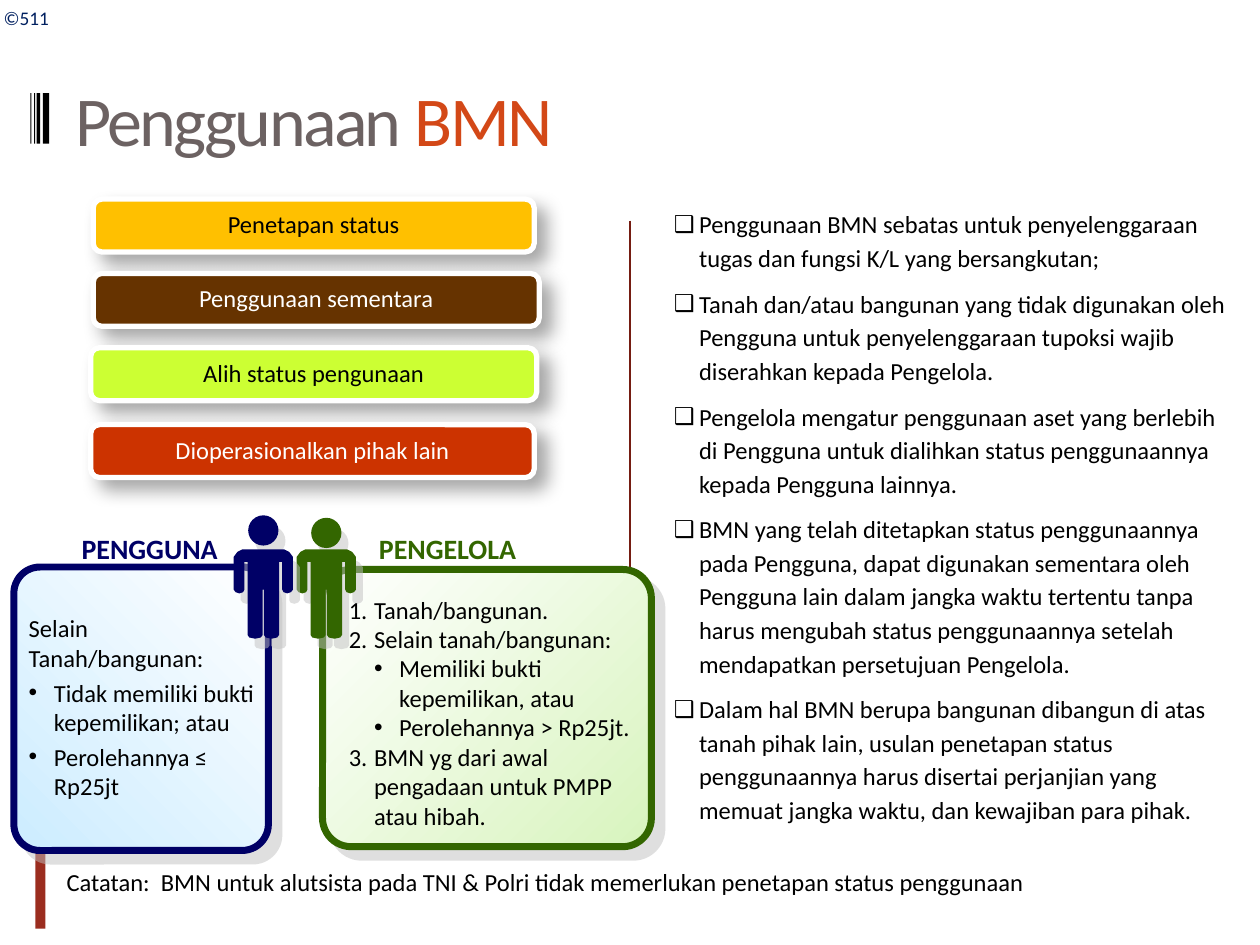
from lxml.etree import SubElement
from pptx import Presentation
from pptx.dml.color import RGBColor
from pptx.enum.shapes import MSO_CONNECTOR, MSO_SHAPE as SHAPE
from pptx.enum.text import MSO_ANCHOR as ANCHOR, PP_ALIGN as ALIGN
from pptx.oxml.ns import qn
from pptx.util import Inches, Pt

COLORS = {
    "black": "000000", "white": "FFFFFF", "title": "6C6262", "accent": "D34817",
    "number": "002060", "rust": "9B2D1F", "divider": "751D12", "shadow": "C0C0C0",
    "amber": "FFC000", "brown": "663300", "lime": "CCFF33", "red": "CC3300",
    "navy": "000066", "sky": "CCECFF", "green": "336600", "mint": "D8F4BE",
}
COLORS = {name: RGBColor.from_string(value) for name, value in COLORS.items()}


def style(shape, color, line=None, width=0, shadow=None):
    """Fill, outline and optional shadow (color, alpha %, blur pt, distance pt, degrees)."""
    shape.shadow.inherit = False
    if color:
        shape.fill.solid()
        shape.fill.fore_color.rgb = COLORS[color]
    if line:
        shape.line.color.rgb = COLORS[line]
        shape.line.width = Pt(width)
    else:
        shape.line.fill.background()
    if shadow:
        name, alpha, blur, distance, angle = shadow
        effects = shape._element.spPr.find(qn("a:effectLst"))
        outer = SubElement(effects, qn("a:outerShdw"), blurRad=str(Pt(blur)),
                           dist=str(Pt(distance)), dir=str(angle * 60000),
                           algn="tl", rotWithShape="0")
        tint = SubElement(outer, qn("a:srgbClr"), val=str(COLORS[name]))
        SubElement(tint, qn("a:alpha"), val=str(alpha * 1000))


def write(place, paragraphs, size=14, color="black", bold=False, wrap=True,
          after=0, before=0, spacing=None):
    """Text box; each paragraph is (text, left indent, hanging indent, bullet)."""
    box = page.shapes.add_textbox(*map(Inches, place))
    frame = box.text_frame
    frame.word_wrap = wrap
    frame.text = "\n".join(item[0] for item in paragraphs)
    for para, (_, left, hanging, bullet) in zip(frame.paragraphs, paragraphs):
        para.space_after, para.space_before = Pt(after), Pt(before)
        if spacing:
            para.line_spacing = spacing
        font = para.runs[0].font
        font.name, font.size, font.bold = "Calibri", Pt(size), bold
        font.color.rgb = COLORS[color]
        props = para._p.get_or_add_pPr()
        props.set("marL", str(Inches(left)))
        props.set("indent", str(-Inches(hanging)))
        if isinstance(bullet, int):
            SubElement(props, qn("a:buFont"), typeface="+mj-lt")
            SubElement(props, qn("a:buAutoNum"), type="arabicPeriod", startAt=str(bullet))
        elif bullet:
            if bullet == "❑":
                SubElement(props, qn("a:buSzPct"), val="95000")
            SubElement(props, qn("a:buFont"), typeface="Arial")
            SubElement(props, qn("a:buChar"), char=bullet)
    return box


deck = Presentation()
deck.slide_width, deck.slide_height = Inches(10), Inches(7.5)
page = deck.slides.add_slide(deck.slide_layouts[6])

# Margin bar and the stripes beside the title
for left, top, width, height, color in [
    (0.28, 5.52, 0.08, 1.85, "rust"), (0.34, 0.74, 0.05, 0.4, "black"),
    (0.29, 0.74, 0.03, 0.4, "black"), (0.27, 0.74, 0.01, 0.4, "black"),
    (0.24, 0.74, 0.01, 0.4, "black"),
]:
    stripe = page.shapes.add_shape(SHAPE.RECTANGLE, *map(Inches, (left, top, width, height)))
    style(stripe, color)

# Slide number and divider
write((-0.07, 0, 0.61, 0.29), [("©511", 0, 0, None)], size=11, color="number")
divider = page.shapes.add_connector(MSO_CONNECTOR.STRAIGHT, Inches(5), Inches(1.75),
                                    Inches(5), Inches(6.71))
divider.line.color.rgb = COLORS["divider"]
divider.line.width = Pt(0.75)
SubElement(divider._element.spPr, qn("a:effectLst"))

# Title
title = write((0.5, 0.23, 9, 1.42), [("Penggunaan ", 0, 0, None)], size=40, color="title")
title.text_frame.vertical_anchor = ANCHOR.MIDDLE
title_para = title.text_frame.paragraphs[0]
span = title_para.add_run()
span.text = "BMN"
span.font.name, span.font.size = "Calibri", Pt(40)
span.font.color.rgb = COLORS["accent"]
for span in title_para.runs:
    span._r.get_or_add_rPr().set("spc", "-150")

# Rules of use
rules = [
    "Penggunaan BMN sebatas untuk penyelenggaraan tugas dan fungsi K/L yang bersangkutan;",
    "Tanah dan/atau bangunan yang tidak digunakan oleh Pengguna untuk penyelenggaraan "
    "tupoksi wajib diserahkan kepada Pengelola.",
    "Pengelola mengatur penggunaan aset yang berlebih di Pengguna untuk dialihkan status "
    "penggunaannya kepada Pengguna lainnya.",
    "BMN yang telah ditetapkan status penggunaannya pada Pengguna, dapat digunakan sementara "
    "oleh Pengguna lain dalam jangka waktu tertentu tanpa harus mengubah status "
    "penggunaannya setelah mendapatkan persetujuan Pengelola.",
    "Dalam hal BMN berupa bangunan dibangun di atas tanah pihak lain, usulan penetapan "
    "status penggunaannya harus disertai perjanjian yang memuat jangka waktu, dan "
    "kewajiban para pihak.",
]
write((5.25, 1.58, 4.58, 5.12), [(rule, 0.2, 0.2, "❑") for rule in rules],
      before=7, spacing=1.14)

# Kinds of use
for text, left, top, width, color, ink in [
    ("Penetapan status", 0.74, 1.58, 3.5, "amber", "black"),
    ("Penggunaan sementara", 0.74, 2.17, 3.54, "brown", "white"),
    ("Alih status pengunaan", 0.72, 2.76, 3.54, "lime", "black"),
    ("Dioperasionalkan pihak lain", 0.72, 3.37, 3.52, "red", "white"),
]:
    kind = page.shapes.add_shape(SHAPE.ROUNDED_RECTANGLE,
                                 *map(Inches, (left, top, width, 0.42)))
    style(kind, color, "white", 3, ("black", 35, 10.2, 8, 45))
    frame = kind.text_frame
    frame.margin_top = frame.margin_bottom = 0
    frame.vertical_anchor = ANCHOR.MIDDLE
    frame.text = text
    para = frame.paragraphs[0]
    para.alignment, para.line_spacing = ALIGN.CENTER, 0.9
    font = para.runs[0].font
    font.name, font.size, font.color.rgb = "Calibri", Pt(14), COLORS[ink]

# Panels, each with a person: the right half of the body is mirrored
half_body = [
    (0.165, 0), (0.205, 0.02), (0.235, 0.06), (0.235, 0.32), (0.22, 0.34), (0.19, 0.35),
    (0.16, 0.34), (0.15, 0.32), (0.15, 0.1), (0.125, 0.1), (0.125, 0.68), (0.11, 0.7),
    (0.065, 0.71), (0.02, 0.7), (0.005, 0.68), (0.005, 0.32),
]
outline = half_body + [(-x, y) for x, y in reversed(half_body)]
for place, color, stops, angle, center, head_top in [
    ((2.56, 4.52, 2.61, 2.2), "green", ("white", "mint"), 315, 2.59, 4.11),
    ((0.11, 4.5, 2.02, 2.25), "navy", ("sky", "white"), 45, 2.09, 4.09),
]:
    panel = page.shapes.add_shape(SHAPE.ROUNDED_RECTANGLE, *map(Inches, place))
    panel.adjustments[0] = 0.103
    panel.fill.gradient()
    panel.fill.gradient_angle = angle
    for stop, name in zip(panel.fill.gradient_stops, stops):
        stop.color.rgb = COLORS[name]
    style(panel, None, color, 4, ("shadow", 50, 0, 8.5, 45))

    head = page.shapes.add_shape(SHAPE.OVAL, Inches(center - 0.12), Inches(head_top),
                                 Inches(0.24), Inches(0.24))
    points = [(Inches(center + x), Inches(4.36 + y)) for x, y in outline]
    builder = page.shapes.build_freeform(*points[0])
    builder.add_line_segments(points[1:], close=True)
    for part in (head, builder.convert_to_shape()):
        style(part, color, shadow=("shadow", 50, 0, 7.2, 56))

# Panel headings and contents
for heading, left, color in [("PENGELOLA", 2.91, "green"), ("PENGGUNA", 0.55, "navy")]:
    write((left, 4.17, 1.3, 0.37), [(heading, 0.19, 0.19, None)], size=16, color=color,
          bold=True, wrap=False, after=3)
write((2.67, 4.67, 2.58, 1.99), [
    ("Tanah/bangunan.", 0.2, 0.2, 1),
    ("Selain tanah/bangunan:", 0.2, 0.2, 2),
    ("Memiliki bukti kepemilikan, atau", 0.4, 0.2, "•"),
    ("Perolehannya > Rp25jt.", 0.4, 0.2, "•"),
    ("BMN yg dari awal pengadaan untuk PMPP atau hibah.", 0.2, 0.2, 3),
])
write((0.13, 4.82, 2, 1.6), [
    ("Selain Tanah/bangunan:", 0, 0, None),
    ("Tidak memiliki bukti kepemilikan; atau", 0.2, 0.2, "•"),
    ("Perolehannya ≤ Rp25jt", 0.2, 0.2, "•"),
], after=3)

# Footnote
write((0.43, 6.83, 8.05, 0.34), [
    ("Catatan:  BMN untuk alutsista pada TNI & Polri tidak memerlukan penetapan status "
     "penggunaan", 0.3, 0.3, None)], after=3)

deck.save("out.pptx")
